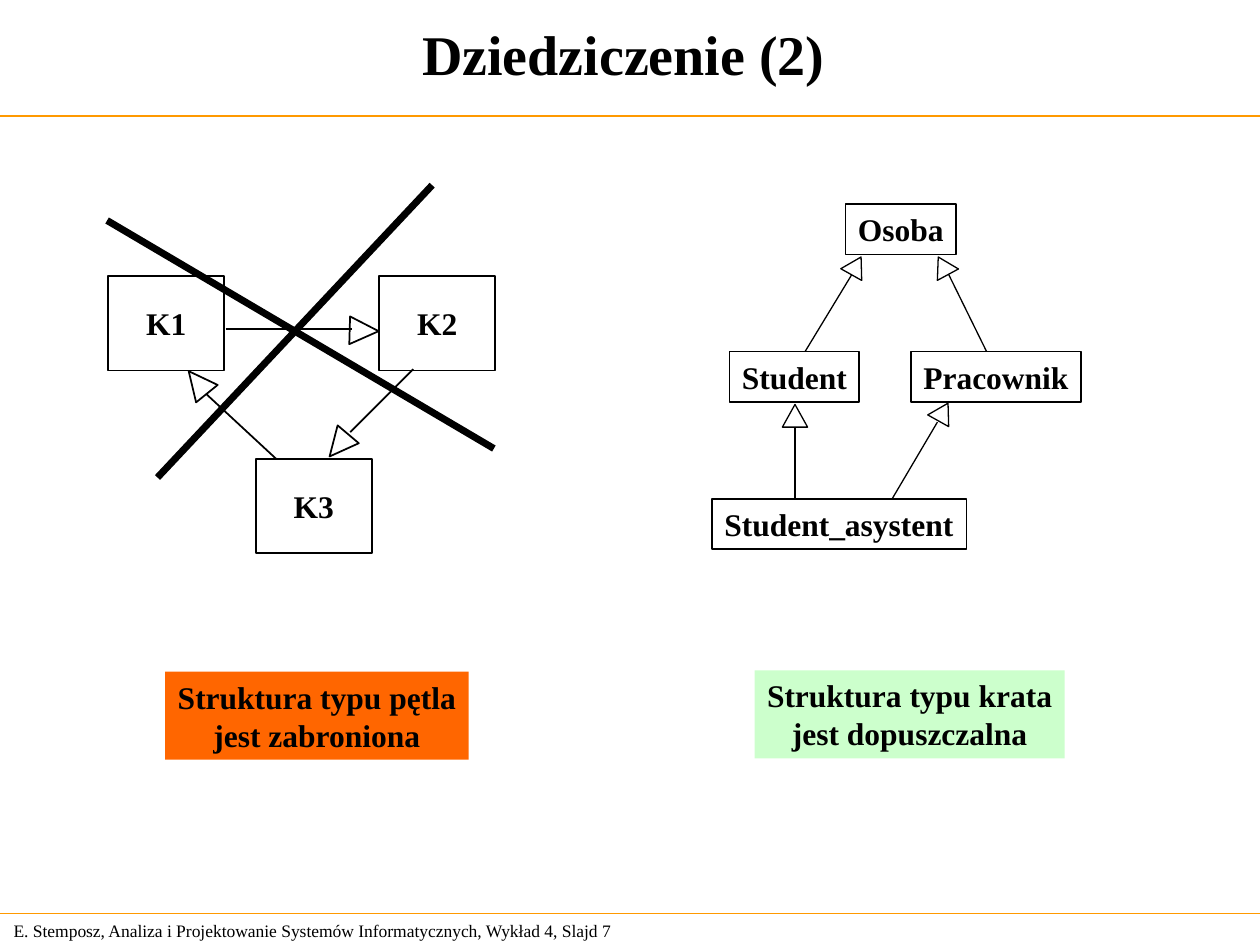
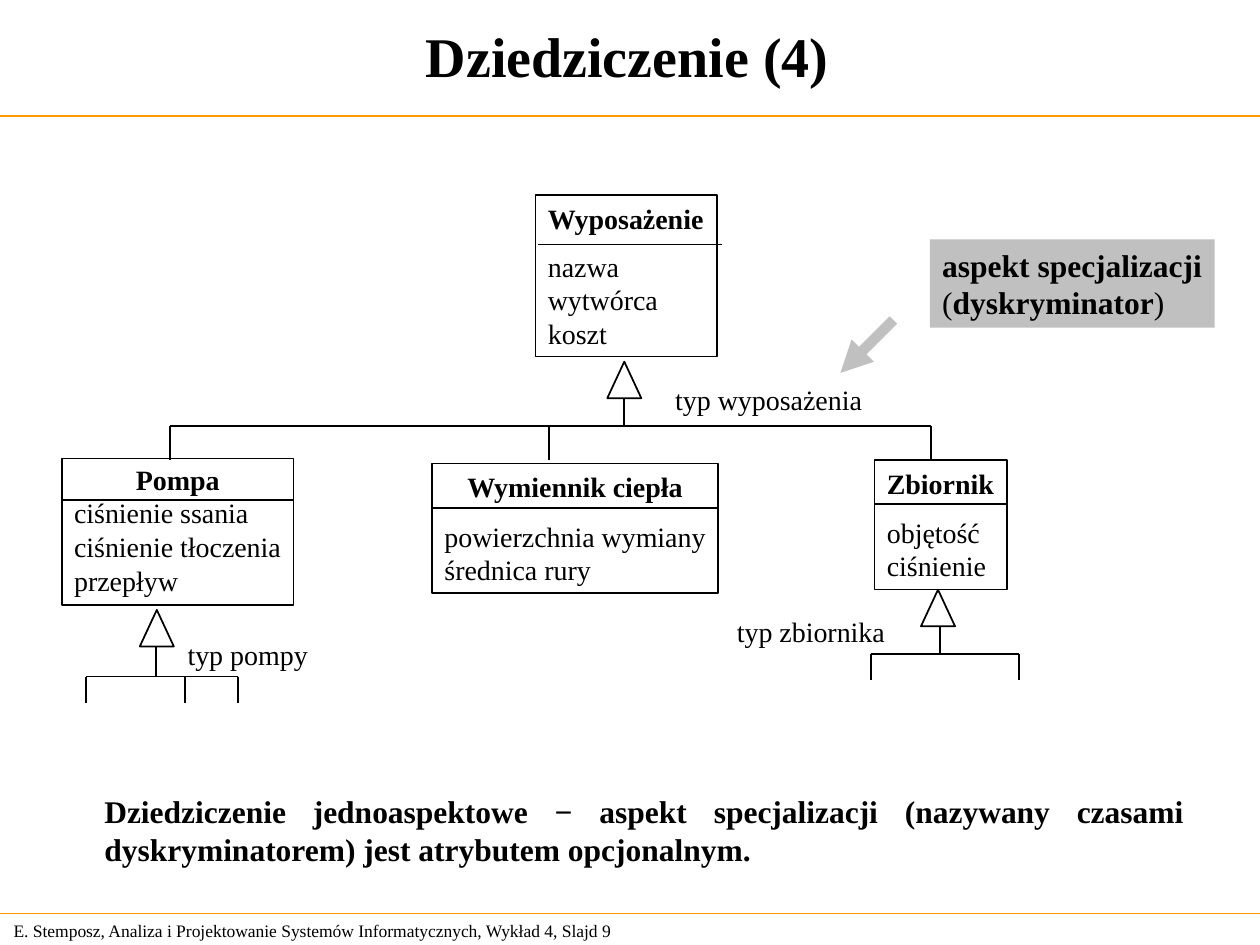
from lxml.etree import SubElement
from pptx import Presentation
from pptx.dml.color import RGBColor
from pptx.enum.shapes import MSO_CONNECTOR, MSO_SHAPE
from pptx.enum.text import MSO_ANCHOR, PP_ALIGN
from pptx.oxml.ns import qn
from pptx.util import Pt

PX = 9144  # one hundred px to the inch
FONT = "Times New Roman"
COLORS = {
    "ink": "000000",
    "rule": "FF9900",
    "forbidden": "FF6600",
    "allowed": "CCFFCC",
    "note": "C0C0C0",
}
LEFT, CENTER, JUSTIFY = PP_ALIGN.LEFT, PP_ALIGN.CENTER, PP_ALIGN.JUSTIFY


def add_box(page, left, top, width, height, text="", *, kind=MSO_SHAPE.RECTANGLE,
            turn=0, fill=None, line=None, size=18, align=LEFT, first_align=None,
            middle=False, wrap=False, inset=5, gap=0):
    """Add a shape with text; **marks** make bold, gap is kept after line one."""
    box = page.shapes.add_shape(kind, left * PX, top * PX, width * PX, height * PX)
    box.shadow.inherit = False
    box.rotation = turn
    if fill:
        box.fill.solid()
        box.fill.fore_color.rgb = RGBColor.from_string(COLORS[fill])
    else:
        box.fill.background()
    if line:
        box.line.color.rgb = RGBColor.from_string(COLORS["ink"])
        box.line.width = Pt(line)
    else:
        box.line.fill.background()
    if not text:
        return
    frame = box.text_frame
    frame.word_wrap = wrap
    frame.vertical_anchor = MSO_ANCHOR.MIDDLE if middle else MSO_ANCHOR.TOP
    frame.margin_left = frame.margin_right = 10 * PX
    frame.margin_top, frame.margin_bottom = inset * PX, 5 * PX
    for row, content in enumerate(text.split("\n")):
        para = frame.add_paragraph() if row else frame.paragraphs[0]
        para.alignment = first_align if row == 0 and first_align else align
        if row == 1:
            para.space_before = Pt(gap)
        for part, words in enumerate(content.split("**")):
            if words:
                span = para.add_run()
                span.text = words
                span.font.name = FONT
                span.font.size = Pt(size)
                span.font.bold = part % 2 == 1
                span.font.color.rgb = RGBColor.from_string(COLORS["ink"])


def add_line(page, x1, y1, x2, y2, *, weight=1, color="ink", arrow=False):
    line = page.shapes.add_connector(
        MSO_CONNECTOR.STRAIGHT, x1 * PX, y1 * PX, x2 * PX, y2 * PX)
    line.line.color.rgb = RGBColor.from_string(COLORS[color])
    line.line.width = Pt(weight)
    if arrow:
        SubElement(line.line._get_or_add_ln(), qn("a:tailEnd"), type="triangle")
    SubElement(line._element.spPr, qn("a:effectLst"))


deck = Presentation()
deck.slide_width, deck.slide_height = 1000 * PX, 750 * PX

# Shared title, rules and footer
pages = []
for part, slide_number, title_top, title_width in [(2, 7, 0, 990), (4, 9, 1, 996)]:
    page = deck.slides.add_slide(deck.slide_layouts[6])
    add_line(page, 0, 92, 1000, 92, color="rule")
    add_line(page, 0, 725, 1000, 725, color="rule", weight=0.75)
    add_box(page, 0, title_top, title_width, 85, f"**Dziedziczenie ({part})**",
            size=32, align=CENTER, middle=True, wrap=True)
    add_box(page, 1, 725, 524, 27,
            "E. Stemposz, Analiza i Projektowanie Systemów Informatycznych, "
            f"Wykład 4, Slajd {slide_number}", size=10, middle=True, wrap=True)
    pages.append(page)
structures, aspects = pages

# Loop structure: classes, inheritance arrows, crossing out
for name, left, top in [("K1", 86, 219), ("K2", 301, 219), ("K3", 203, 364)]:
    add_box(structures, left, top, 92, 75, f"**{name}**", line=1,
            align=CENTER, middle=True)
for left, top, turn in [(146, 292, 321.1), (258, 342, 220.1), (278, 251, 91.7)]:
    add_box(structures, left, top, 22, 23, kind=MSO_SHAPE.ISOSCELES_TRIANGLE,
            turn=turn, line=1)
for ends in [(164, 313, 219, 364), (179, 261, 279, 261), (278, 343, 328, 293)]:
    add_line(structures, *ends)
for ends in [(85, 175, 392, 356), (125, 379, 343, 147)]:
    add_line(structures, *ends, weight=4)

# Lattice structure: classes and inheritance arrows
for name, left, top, width in [
    ("Osoba", 671, 162, 88),
    ("Student", 579, 279, 103),
    ("Pracownik", 723, 279, 135),
    ("Student_asystent", 565, 396, 202),
]:
    add_box(structures, left, top, width, 40, f"**{name}**", line=1)
for left, top, width, height, turn, ends in [
    (739, 319, 19, 16, 29.3, (744, 335, 708, 396)),
    (621, 321, 20, 18, 0, (631, 339, 631, 396)),
    (739, 203, 19, 16, 331.5, (753, 218, 783, 279)),
    (670, 203, 19, 16, 29.3, (676, 218, 639, 279)),
]:
    add_box(structures, left, top, width, height,
            kind=MSO_SHAPE.ISOSCELES_TRIANGLE, turn=turn, line=0.75)
    add_line(structures, *ends, weight=0.75)

# Verdicts
for left, top, width, fill, verdict in [
    (131, 533, 241, "forbidden", "**Struktura typu pętla**\n**jest zabroniona**"),
    (599, 532, 246, "allowed", "**Struktura typu krata**\n**jest dopuszczalna**"),
]:
    add_box(structures, left, top, width, 70, verdict, fill=fill, align=CENTER)

# Equipment classes, each with a line under its name
for left, top, width, height, inset, gap, name_align, text, rule in [
    (425, 155, 144, 128, 5, 8, LEFT,
     "**Wyposażenie**\nnazwa\nwytwórca\nkoszt", (427, 194, 573, 194)),
    (49, 364, 184, 116, 3, 0, CENTER,
     "**Pompa**\nciśnienie ssania\nciśnienie tłoczenia\nprzepływ", (49, 397, 233, 397)),
    (343, 368, 227, 103, 5, 9, CENTER,
     "**Wymiennik ciepła**\npowierzchnia wymiany\nśrednica rury", (343, 403, 570, 403)),
    (694, 365, 105, 103, 5, 9, LEFT,
     "**Zbiornik**\nobjętość\nciśnienie", (694, 400, 799, 400)),
]:
    add_box(aspects, left, top, width, height, text, line=1, size=16,
            first_align=name_align, inset=inset, gap=gap)
    add_line(aspects, *rule)

# Inheritance trees: triangle, stem, crossbar and branches
for left, top, stem, bar, start, end, branches, foot in [
    (482, 287, 495, 338, 135, 739, (135, 436, 739), 365),
    (111, 484, 124, 537, 68, 189, (68, 147, 189), 558),
    (731, 468, 746, 519, 691, 809, (691, 809), 540),
]:
    add_box(aspects, left, top, 27, 29, kind=MSO_SHAPE.ISOSCELES_TRIANGLE, line=1)
    add_line(aspects, stem, top + 29, stem, bar)
    add_line(aspects, start, bar, end, bar)
    for branch in branches:
        add_line(aspects, branch, bar, branch, foot)

# Specialisation aspects
for left, top, width, label in [
    (526, 299, 168, "typ wyposażenia"),
    (139, 501, 115, "typ pompy"),
    (575, 483, 137, "typ zbiornika"),
]:
    add_box(aspects, left, top, width, 36, label, size=16)
add_box(aspects, 738, 190, 226, 70,
        "**aspekt specjalizacji**\n(**dyskryminator**)", fill="note")
add_line(aspects, 709, 254, 667, 296, weight=6, color="note", arrow=True)

# Conclusion
add_box(aspects, 73, 624, 877, 70,
        "**Dziedziczenie jednoaspektowe − aspekt specjalizacji (nazywany czasami "
        "dyskryminatorem) jest atrybutem opcjonalnym.**", align=JUSTIFY, wrap=True)

deck.save("out.pptx")
